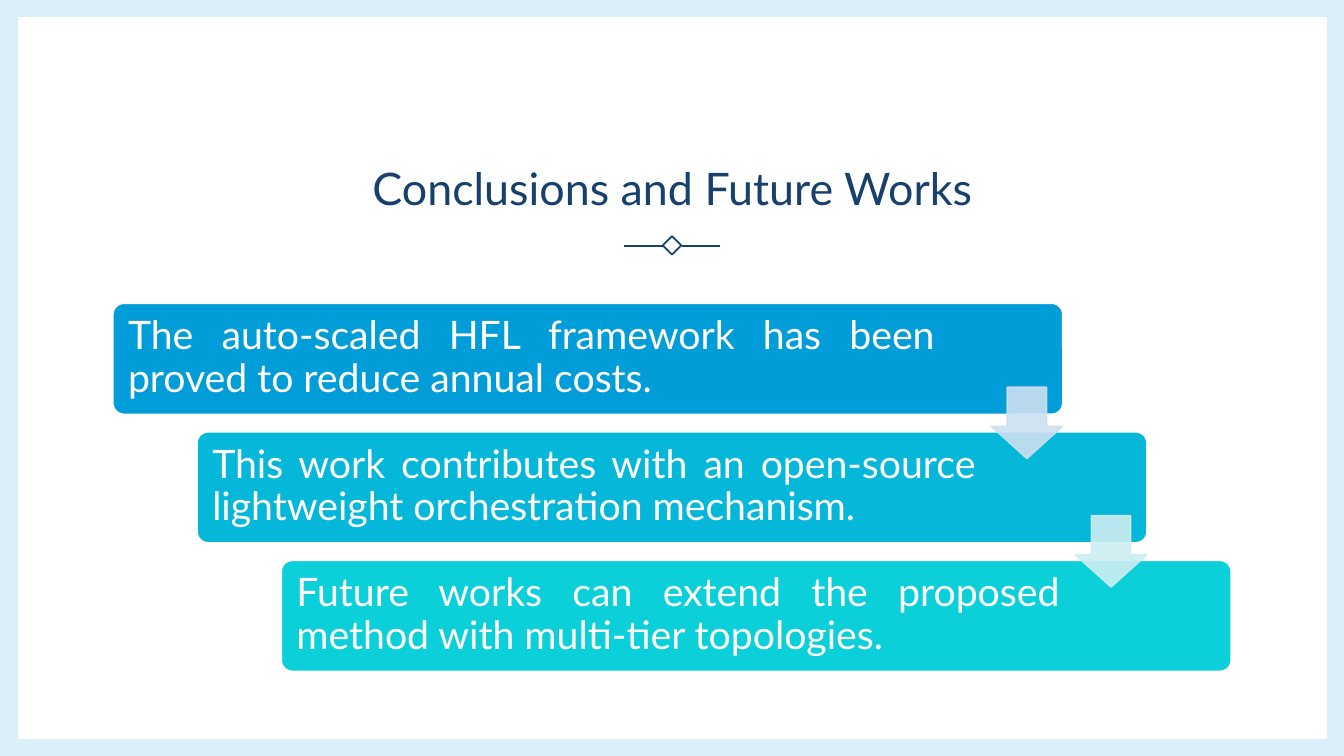
"""Build the conclusions slide: a title, an ornament and three descending steps."""
from lxml import etree
from pptx import Presentation
from pptx.dml.color import RGBColor
from pptx.enum.shapes import MSO_CONNECTOR, MSO_SHAPE
from pptx.enum.text import MSO_ANCHOR, PP_ALIGN
from pptx.oxml.ns import qn
from pptx.util import Inches, Pt

COLORS = {
    "frame": "DBEFF9",
    "white": "FFFFFF",
    "navy": "17406D",
    "steps": ["009DD9", "05B7D9", "0BD0D9"],
    "arrows": ["CCDFF1", "CCEDF1"],
}
STEPS = [
    ("The auto-scaled HFL framework has been proved to reduce annual costs.", 8.24),
    ("This work contributes with an open-source lightweight orchestration mechanism.", 7.81),
    ("Future works can extend the proposed method with multi-tier topologies.", 7.81),
]
STEP_LEFT, STEP_TOP, STEP_WIDTH, STEP_HEIGHT = 1.12, 3.01, 9.42, 1.1
SHIFT_X, SHIFT_Y = 0.835, 1.275

deck = Presentation()
deck.slide_width, deck.slide_height = Inches(13.33), Inches(7.5)
page = deck.slides.add_slide(deck.slide_layouts[6])


def add_shape(kind, left, top, width, height, fill=None, line=None, weight=1):
    shape = page.shapes.add_shape(
        kind, Inches(left), Inches(top), Inches(width), Inches(height))
    shape.shadow.inherit = False
    if fill:
        shape.fill.solid()
        shape.fill.fore_color.rgb = RGBColor.from_string(fill)
    else:
        shape.fill.background()
    if line:
        shape.line.color.rgb = RGBColor.from_string(line)
        shape.line.width = Pt(weight)
    else:
        shape.line.fill.background()
    return shape


def add_text(text, left, top, width, height, size, color, align, anchor,
             spacing, inset_x=0.1, inset_y=0.05):
    box = page.shapes.add_textbox(
        Inches(left), Inches(top), Inches(width), Inches(height))
    frame = box.text_frame
    frame.word_wrap = True
    frame.vertical_anchor = anchor
    frame.margin_left = frame.margin_right = Inches(inset_x)
    frame.margin_top = frame.margin_bottom = Inches(inset_y)
    para = frame.paragraphs[0]
    para.alignment = align
    para.line_spacing = spacing
    span = para.add_run()
    span.text = text
    span.font.name = "Lato"
    span.font.size = Pt(size)
    span.font.color.rgb = RGBColor.from_string(color)


add_shape(MSO_SHAPE.RECTANGLE, 0, 0, 13.33, 7.5, fill=COLORS["frame"])
add_shape(MSO_SHAPE.RECTANGLE, 0.18, 0.17, 12.98, 7.16, fill=COLORS["white"])

add_text("Conclusions and Future Works", 1.13, 1.05, 11.08, 1.13, size=32,
         color=COLORS["navy"], align=PP_ALIGN.CENTER,
         anchor=MSO_ANCHOR.BOTTOM, spacing=1.1)

diamond = add_shape(MSO_SHAPE.RECTANGLE, 6.6, 2.37, 0.13, 0.13,
                    line=COLORS["navy"], weight=1.25)
diamond.rotation = 45
for start, end in [(6.76, 7.14), (6.19, 6.58)]:
    rule = page.shapes.add_connector(
        MSO_CONNECTOR.STRAIGHT, Inches(start), Inches(2.44), Inches(end), Inches(2.44))
    rule.line.color.rgb = RGBColor.from_string(COLORS["navy"])
    rule.line.width = Pt(1.25)
    etree.SubElement(rule._element.spPr, qn("a:effectLst"))

for index, (text, text_width) in enumerate(STEPS):
    left, top = STEP_LEFT + index * SHIFT_X, STEP_TOP + index * SHIFT_Y
    step = add_shape(MSO_SHAPE.ROUNDED_RECTANGLE, left, top, STEP_WIDTH, STEP_HEIGHT,
                     fill=COLORS["steps"][index], line=COLORS["white"])
    step.adjustments[0] = 0.1
    add_text(text, left + 0.03, top + 0.03, text_width, 1.03, size=28,
             color=COLORS["white"], align=PP_ALIGN.JUSTIFY,
             anchor=MSO_ANCHOR.MIDDLE, spacing=0.9, inset_x=0.12, inset_y=0.12)

for index, color in enumerate(COLORS["arrows"]):
    arrow = add_shape(MSO_SHAPE.DOWN_ARROW, 9.83 + index * SHIFT_X,
                      3.84 + index * SHIFT_Y, 0.71, 0.71, fill=color, line=color)
    arrow.adjustments[0], arrow.adjustments[1] = 0.55, 0.45
    for tint in arrow._element.spPr.iter(qn("a:srgbClr")):
        etree.SubElement(tint, qn("a:alpha"), val="90000")

deck.save("out.pptx")
